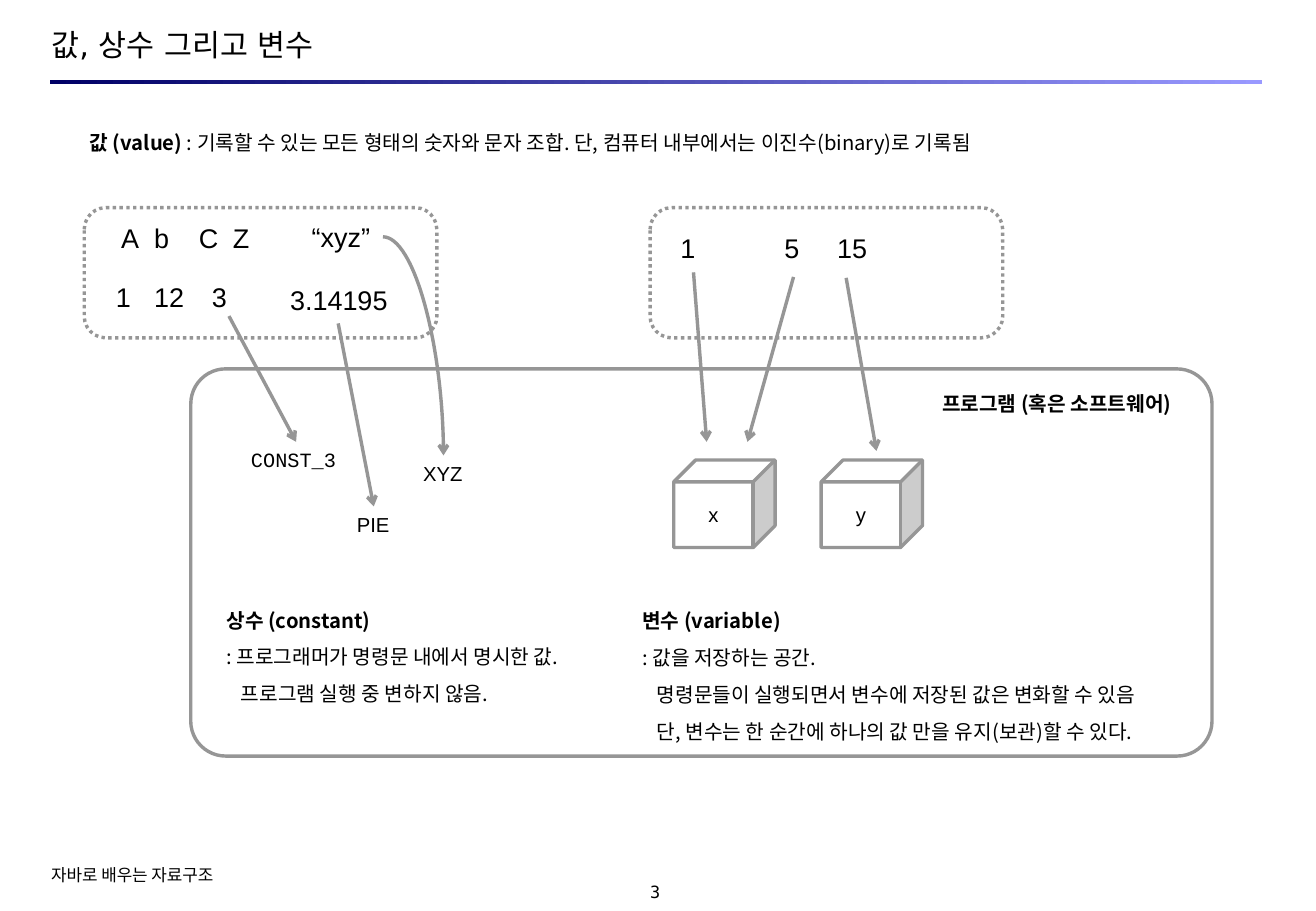
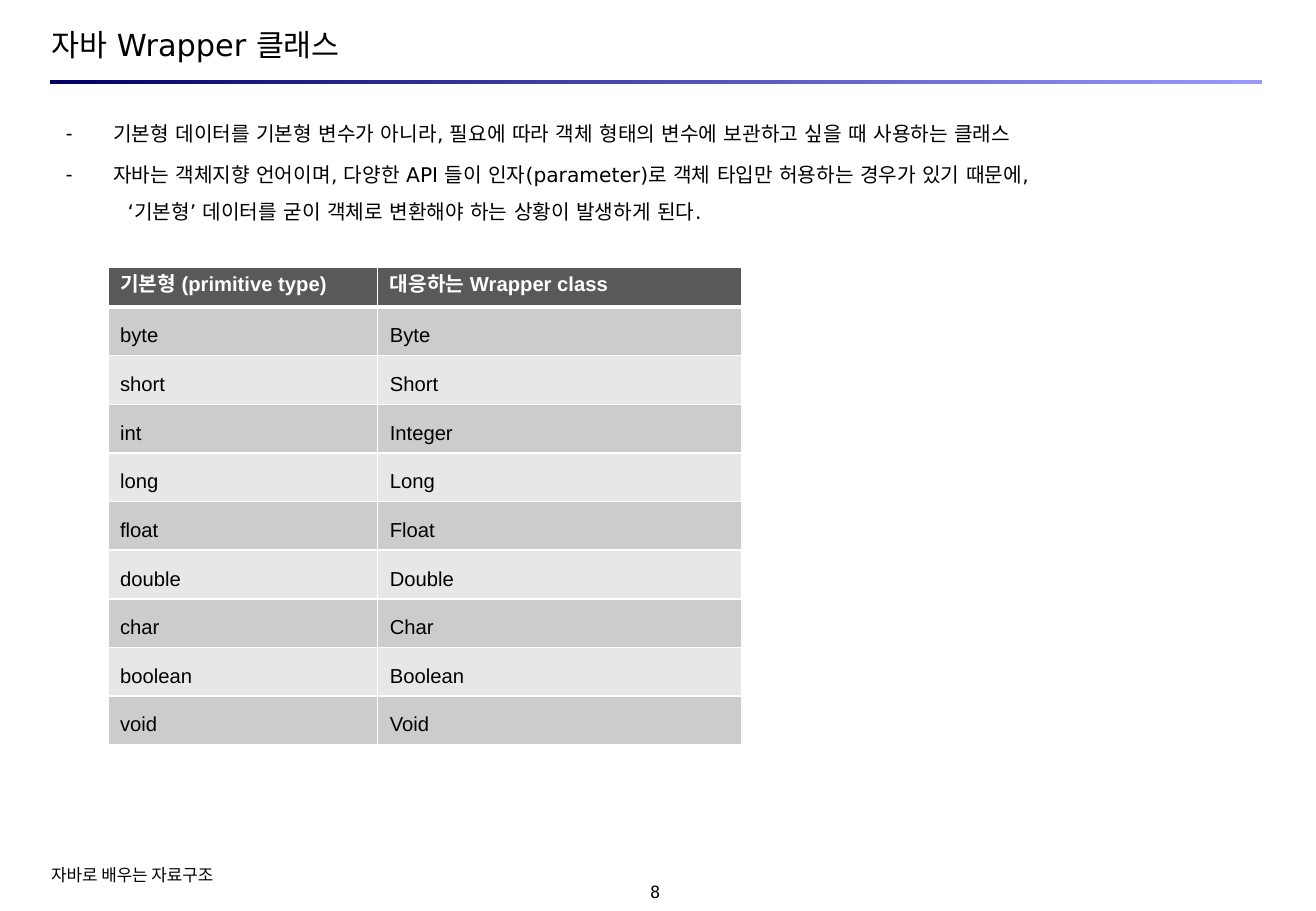
from lxml.etree import SubElement
from pptx import Presentation
from pptx.dml.color import RGBColor
from pptx.enum.dml import MSO_LINE
from pptx.enum.shapes import MSO_CONNECTOR, MSO_SHAPE
from pptx.enum.text import MSO_ANCHOR, PP_ALIGN
from pptx.oxml.ns import qn
from pptx.util import Inches, Pt

W, H = 10.83, 7.5
COLORS = {
    "text": "000000", "white": "FFFFFF", "line": "969696",
    "band_from": "000066", "band_to": "9999FF",
    "head": "595959", "odd": "CCCCCC", "even": "E7E7E7",
}
KOREAN, LATIN, MONO, PAGE, SANS = (
    "Noto Sans CJK KR", "Arial", "Courier New", "DejaVu Sans Mono", "DejaVu Sans")
LEADING = Pt(21.8)
FOOTER = "자바로 배우는 자료구조"


def rgb(name):
    return RGBColor.from_string(COLORS[name])


def across(share):
    return Inches(W * share / 100)


def down(share):
    return Inches(H * share / 100)


def place(x, y, w, h):
    return across(x), down(y), across(w), down(h)


def write(p, text, size=12, font=LATIN, color="text", bold=False,
          align=PP_ALIGN.LEFT, leading=None, before=0):
    p.alignment = align
    p.space_before = Pt(before)
    if leading:
        p.line_spacing = leading
    r = p.add_run()
    r.text = text
    r.font.size = Pt(size)
    r.font.name = font
    r.font.bold = bold
    r.font.color.rgb = rgb(color)
    SubElement(r.font._element, qn("a:ea"), typeface=font)


def indent(p, left, first=0, bullet=None):
    pPr = p._p.get_or_add_pPr()
    pPr.set("marL", str(across(left)))
    pPr.set("indent", str(across(first)))
    if bullet:
        SubElement(pPr, qn("a:buChar"), char=bullet)
    else:
        SubElement(pPr, qn("a:buNone"))


def set_frame(tf, margins=None, anchor=MSO_ANCHOR.TOP, wrap=True):
    tf.word_wrap = wrap
    tf.vertical_anchor = anchor
    if margins:
        tf.margin_left = tf.margin_right = Inches(margins[0])
        tf.margin_top = tf.margin_bottom = Inches(margins[1])


def add_text(s, at, text="", margins=None, anchor=MSO_ANCHOR.TOP, wrap=True, **fmt):
    tf = s.shapes.add_textbox(*place(*at)).text_frame
    set_frame(tf, margins, anchor, wrap)
    if text:
        write(tf.paragraphs[0], text, **fmt)
    return tf


def add_label(s, at, text, **fmt):
    add_text(s, at, text, wrap=False, align=PP_ALIGN.CENTER, **fmt)


def add_values(s, at, values, stops):
    tf = add_text(s, at, "\t".join(values), size=16)
    tabs = SubElement(tf.paragraphs[0]._p.get_or_add_pPr(), qn("a:tabLst"))
    for stop in stops:
        SubElement(tabs, qn("a:tab"), pos=str(across(stop)), algn="l")


def add_definition(s, at, term, lines):
    tf = add_text(s, at, term, font=KOREAN, bold=True, leading=LEADING)
    for i, line in enumerate(lines):
        p = tf.add_paragraph()
        write(p, line, font=KOREAN, leading=LEADING)
        indent(p, 1.1 if i else 0)


def add_outline(s, kind, at, dash=None, fill=None):
    sp = s.shapes.add_shape(kind, *place(*at))
    sp.shadow.inherit = False
    sp.line.color.rgb = rgb("line")
    sp.line.width = Pt(2)
    if dash:
        sp.line.dash_style = dash
    if fill:
        sp.fill.solid()
        sp.fill.fore_color.rgb = rgb(fill)
    else:
        sp.fill.background()
    return sp


def add_cube(s, at, name):
    tf = add_outline(s, MSO_SHAPE.CUBE, at, fill="white").text_frame
    set_frame(tf, (0.08, 0.08), MSO_ANCHOR.MIDDLE, wrap=False)
    write(tf.paragraphs[0], name, align=PP_ALIGN.CENTER)


def add_arrow(s, x1, y1, x2, y2, curved=False):
    kind = MSO_CONNECTOR.CURVE if curved else MSO_CONNECTOR.STRAIGHT
    c = s.shapes.add_connector(kind, across(x1), down(y1), across(x2), down(y2))
    c.line.color.rgb = rgb("line")
    c.line.width = Pt(2)
    spPr = c.element.spPr
    if curved:
        spPr.find(qn("a:prstGeom")).set("prst", "curvedConnector2")
    SubElement(spPr.find(qn("a:ln")), qn("a:tailEnd"), type="arrow")
    SubElement(spPr, qn("a:effectLst"))


def set_borders(cell, **widths):
    tcPr = cell._tc.get_or_add_tcPr()
    for i, side in enumerate("LRTB"):
        ln = SubElement(tcPr, qn("a:ln" + side), w=str(Pt(widths.get(side, 1))))
        fill = SubElement(ln, qn("a:solidFill"))
        SubElement(fill, qn("a:srgbClr"), val=COLORS["white"])
        tcPr.insert(i, ln)


def add_type_table(s, x, y, columns, head_row, body_row, rows):
    height = head_row + body_row * (len(rows) - 1)
    table = s.shapes.add_table(
        len(rows), len(columns), *place(x, y, sum(columns), height)).table
    for column, share in zip(table.columns, columns):
        column.width = across(share)
    for i, row in enumerate(rows):
        table.rows[i].height = down(body_row if i else head_row)
        for j, text in enumerate(row):
            cell = table.cell(i, j)
            cell.fill.solid()
            p = cell.text_frame.paragraphs[0]
            if i:
                cell.fill.fore_color.rgb = rgb("odd" if i % 2 else "even")
                write(p, text, leading=1.5, before=6)
                set_borders(cell, T=3 if i == 1 else 1)
            else:
                cell.fill.fore_color.rgb = rgb("head")
                write(p, text, color="white", bold=True)
                set_borders(cell, B=3)


def add_page(prs, layout, title, number):
    s = prs.slides.add_slide(prs.slide_layouts.get_by_name(layout))
    sp = s.shapes.title
    sp.left, sp.top, sp.width, sp.height = place(3.9, 2.9, 92.1, 4)
    set_frame(sp.text_frame, (0, 0), MSO_ANCHOR.MIDDLE)
    write(sp.text_frame.paragraphs[0], title, size=18, font=SANS)

    band = s.shapes.add_shape(MSO_SHAPE.RECTANGLE, *place(3.8, 8.8, 92.1, 0.4))
    band.shadow.inherit = False
    band.line.fill.background()
    band.fill.gradient()
    band.fill.gradient_angle = 0
    for stop, name in zip(band.fill.gradient_stops, ("band_from", "band_to")):
        stop.color.rgb = rgb(name)

    add_text(s, (3.7, 94.8, 28.5, 2.5), FOOTER, margins=(0.02, 0.01),
             size=10, font=KOREAN)
    add_text(s, (46.7, 96.7, 6.2, 2.3), str(number), margins=(0, 0),
             anchor=MSO_ANCHOR.MIDDLE, size=10, font=PAGE, align=PP_ALIGN.CENTER)
    return s


def build_variables(prs):
    s = add_page(prs, "Title Only", "값, 상수 그리고 변수", 3)
    tf = add_text(s, (5.9, 12.3, 79.1, 5.3), "값 (value)", font=KOREAN, bold=True)
    write(tf.paragraphs[0],
          " : 기록할 수 있는 모든 형태의 숫자와 문자 조합. 단, "
          "컴퓨터 내부에서는 이진수(binary)로 기록됨",
          font=KOREAN, leading=LEADING)

    for x in (6.4, 49.4):
        add_outline(s, MSO_SHAPE.ROUNDED_RECTANGLE, (x, 22.8, 26.8, 14.3),
                    dash=MSO_LINE.ROUND_DOT)
    program = add_outline(s, MSO_SHAPE.ROUNDED_RECTANGLE, (14.5, 40.5, 77.6, 42.5))
    program.adjustments[0] = 0.09

    add_values(s, (8.3, 23.7, 13, 4.9), "AbCZ", (2.5, 5.9, 8.5))
    add_values(s, (7.9, 30.1, 13, 4.9), ("1", "12", "3"), (2.9, 7.3))
    add_values(s, (50.8, 24.8, 18, 4.9), ("1", "5", "15"), (7.9, 11.9))
    add_label(s, (22.7, 23.5, 6.4, 4.9), "“xyz”", size=16)
    add_label(s, (21.1, 30.5, 9.3, 4.9), "3.14195", size=16)

    add_label(s, (69.8, 42.3, 21, 4), "프로그램 (혹은 소프트웨어)", font=KOREAN, bold=True)
    add_label(s, (17.9, 48.5, 8.8, 4), "CONST_3", font=MONO)
    add_label(s, (31.2, 50, 4.9, 4), "XYZ")
    add_label(s, (26.2, 55.6, 4.3, 4), "PIE")
    for x, name in ((51.2, "x"), (62.4, "y")):
        add_cube(s, (x, 50.5, 7.7, 9.6), name)

    for ends in ((17.4, 34.7, 22.5, 48.5), (25.7, 35.5, 28.4, 55.6),
                 (52.7, 29.9, 53.7, 48.5), (60.3, 30.4, 56.8, 48.5),
                 (64.3, 30.5, 66.6, 49.5)):
        add_arrow(s, *ends)
    add_arrow(s, 29.1, 26, 33.7, 50, curved=True)

    add_definition(s, (16.3, 64.7, 30.2, 13.5), "상수 (constant)", (
        ": 프로그래머가 명령문 내에서 명시한 값.",
        "프로그램 실행 중 변하지 않음."))
    add_definition(s, (47.9, 64.8, 44.1, 17.5), "변수 (variable)", (
        ": 값을 저장하는 공간.",
        "명령문들이 실행되면서 변수에 저장된 값은 변화할 수 있음",
        "단, 변수는 한 순간에 하나의 값 만을 유지(보관)할 수 있다."))


def build_wrappers(prs):
    s = add_page(prs, "Title and Content", "자바 Wrapper 클래스", 8)
    body = s.placeholders[1]
    body.left, body.top, body.width, body.height = place(3.9, 11.9, 92.1, 12.7)
    tf = body.text_frame
    set_frame(tf, (0, 0))
    lines = (
        ("기본형 데이터를 기본형 변수가 아니라, 필요에 따라 객체 형태의 변수에 "
         "보관하고 싶을 때 사용하는 클래스", "-"),
        ("자바는 객체지향 언어이며, 다양한 API 들이 인자(parameter)로 객체 타입만 "
         "허용하는 경우가 있기 때문에,", "-"),
        ("‘기본형’ 데이터를 굳이 객체로 변환해야 하는 상황이 발생하게 된다.", None),
    )
    for i, (line, bullet) in enumerate(lines):
        p = tf.add_paragraph() if i else tf.paragraphs[0]
        write(p, line, font=SANS, leading=LEADING, before=3 if bullet else 0)
        if bullet:
            indent(p, 4.7, -3.6, bullet)
        else:
            indent(p, 5.8)

    primitives = ("byte", "short", "int", "long", "float",
                  "double", "char", "boolean", "void")
    rows = [("기본형 (primitive type)", "대응하는 Wrapper class")]
    rows += [(name, "Integer" if name == "int" else name.capitalize())
             for name in primitives]
    add_type_table(s, 8.2, 29.3, (20.5, 27.7), 4.4, 5.05, rows)


def main():
    prs = Presentation()
    prs.slide_width, prs.slide_height = Inches(W), Inches(H)
    build_variables(prs)
    build_wrappers(prs)
    prs.save("out.pptx")


if __name__ == "__main__":
    main()
